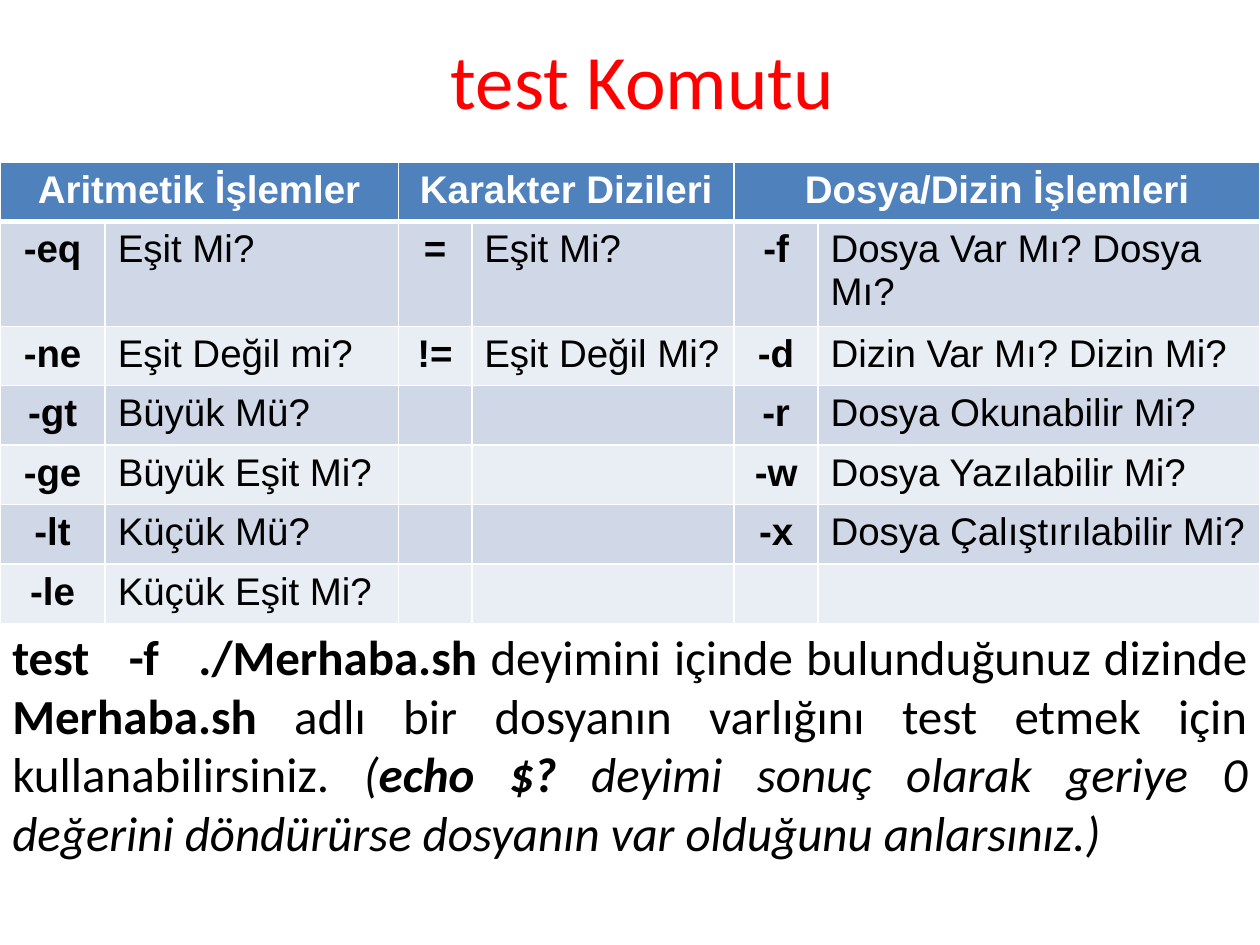
from lxml.etree import SubElement
from pptx import Presentation
from pptx.dml.color import RGBColor
from pptx.enum.text import MSO_ANCHOR as Anchor, PP_ALIGN as Align
from pptx.oxml.ns import qn
from pptx.util import Cm, Pt

BLACK, WHITE, RED = "000000", "FFFFFF", "FF0000"
HEADER_FILL, BAND_FILLS = "4F81BD", ("D0D8E8", "E9EDF4")

COLUMN_WIDTHS = [2.12, 5.91, 1.48, 5.29, 1.69, 8.91]
ROW_HEIGHTS = [1.05] * 3 + [1.2] * 4
HEADINGS = ["Aritmetik İşlemler", "Karakter Dizileri", "Dosya/Dizin İşlemleri"]
OPERATORS = [
    ["-eq", "Eşit Mi?", "=", "Eşit Mi?", "-f", "Dosya Var Mı? Dosya Mı?"],
    ["-ne", "Eşit Değil mi?", "!=", "Eşit Değil Mi?", "-d", "Dizin Var Mı? Dizin Mi?"],
    ["-gt", "Büyük Mü?", "", "", "-r", "Dosya Okunabilir Mi?"],
    ["-ge", "Büyük Eşit Mi?", "", "", "-w", "Dosya Yazılabilir Mi?"],
    ["-lt", "Küçük Mü?", "", "", "-x", "Dosya Çalıştırılabilir Mi?"],
    ["-le", "Küçük Eşit Mi?", "", "", "", ""],
]
# Text, bold, italic
EXPLANATION = [
    ("test   -f   ./Merhaba.sh ", True, False),
    ("deyimini içinde bulunduğunuz dizinde ", False, False),
    ("Merhaba.sh", True, False),
    (" adlı bir dosyanın varlığını test etmek için kullanabilirsiniz. ", False, False),
    ("(", False, True),
    ("echo $?", True, True),
    (" deyimi sonuç olarak geriye 0 değerini döndürürse dosyanın var olduğunu anlarsınız.)",
     False, True),
]


def color(value):
    return RGBColor.from_string(value)


class SlideBuilder:
    text_font = "Calibri"
    table_font = "Arial"
    table_size = 22

    def __init__(self, page):
        self.page = page

    def style(self, font, name, size, tint, bold=None):
        font.name, font.size, font.bold = name, Pt(size), bold
        font.color.rgb = color(tint)

    def text(self, spans, left, top, width, height, size, tint, align, anchor=Anchor.TOP):
        box = self.page.shapes.add_textbox(Cm(left), Cm(top), Cm(width), Cm(height))
        frame = box.text_frame
        frame.word_wrap = True
        frame.vertical_anchor = anchor
        para = frame.paragraphs[0]
        para.alignment = align
        self.style(para.font, self.text_font, size, tint)
        for words, bold, italic in spans:
            span = para.add_run()
            span.text = words
            span.font.bold, span.font.italic = bold, italic

    def table(self, left, top, widths, heights):
        frame = self.page.shapes.add_table(
            len(heights), len(widths), Cm(left), Cm(top), Cm(sum(widths)), Cm(sum(heights)))
        table = frame.table
        table.first_row = table.horz_banding = False
        for column, width in zip(table.columns, widths):
            column.width = Cm(width)
        for row, height in zip(table.rows, heights):
            row.height = Cm(height)
        return table

    def borders(self, cell, top, bottom):
        properties = cell._tc.get_or_add_tcPr()
        for side, width in (("L", 1), ("R", 1), ("T", top), ("B", bottom)):
            line = SubElement(properties, qn(f"a:ln{side}"), w=str(Pt(width)))
            SubElement(SubElement(line, qn("a:solidFill")), qn("a:srgbClr"), val=WHITE)

    def cell(self, cell, words, fill, tint, bold, align, top=1, bottom=1):
        self.borders(cell, top, bottom)
        cell.fill.solid()
        cell.fill.fore_color.rgb = color(fill)
        para = cell.text_frame.paragraphs[0]
        para.alignment = align
        name = self.table_font if words else self.text_font
        self.style(para.font, name, self.table_size, tint, bold)
        if words:
            para.add_run().text = words


def main():
    deck = Presentation()
    deck.slide_width, deck.slide_height = Cm(25.4), Cm(19.05)
    builder = SlideBuilder(deck.slides.add_slide(deck.slide_layouts[6]))

    # Title
    builder.text([("test Komutu", False, False)], 2.11, 0, 21.69, 3.18, 44, RED,
                 Align.CENTER, Anchor.MIDDLE)

    # Explanation
    builder.text(EXPLANATION, 0, 12.5, 25.4, 5.51, 28, BLACK, Align.JUSTIFY)

    # Operator table: each heading spans a symbol and its meaning
    table = builder.table(0, 3.28, COLUMN_WIDTHS, ROW_HEIGHTS)
    for index, heading in enumerate(HEADINGS):
        first, second = table.cell(0, 2 * index), table.cell(0, 2 * index + 1)
        first.merge(second)
        for cell, words in ((first, heading), (second, "")):
            builder.cell(cell, words, HEADER_FILL, WHITE, True, Align.CENTER, bottom=3)
    for row, entries in enumerate(OPERATORS, start=1):
        for column, words in enumerate(entries):
            is_symbol = column % 2 == 0
            builder.cell(table.cell(row, column), words, BAND_FILLS[(row - 1) % 2], BLACK,
                         is_symbol, Align.CENTER if is_symbol else Align.LEFT,
                         top=3 if row == 1 else 1)

    deck.save("out.pptx")


if __name__ == "__main__":
    main()
